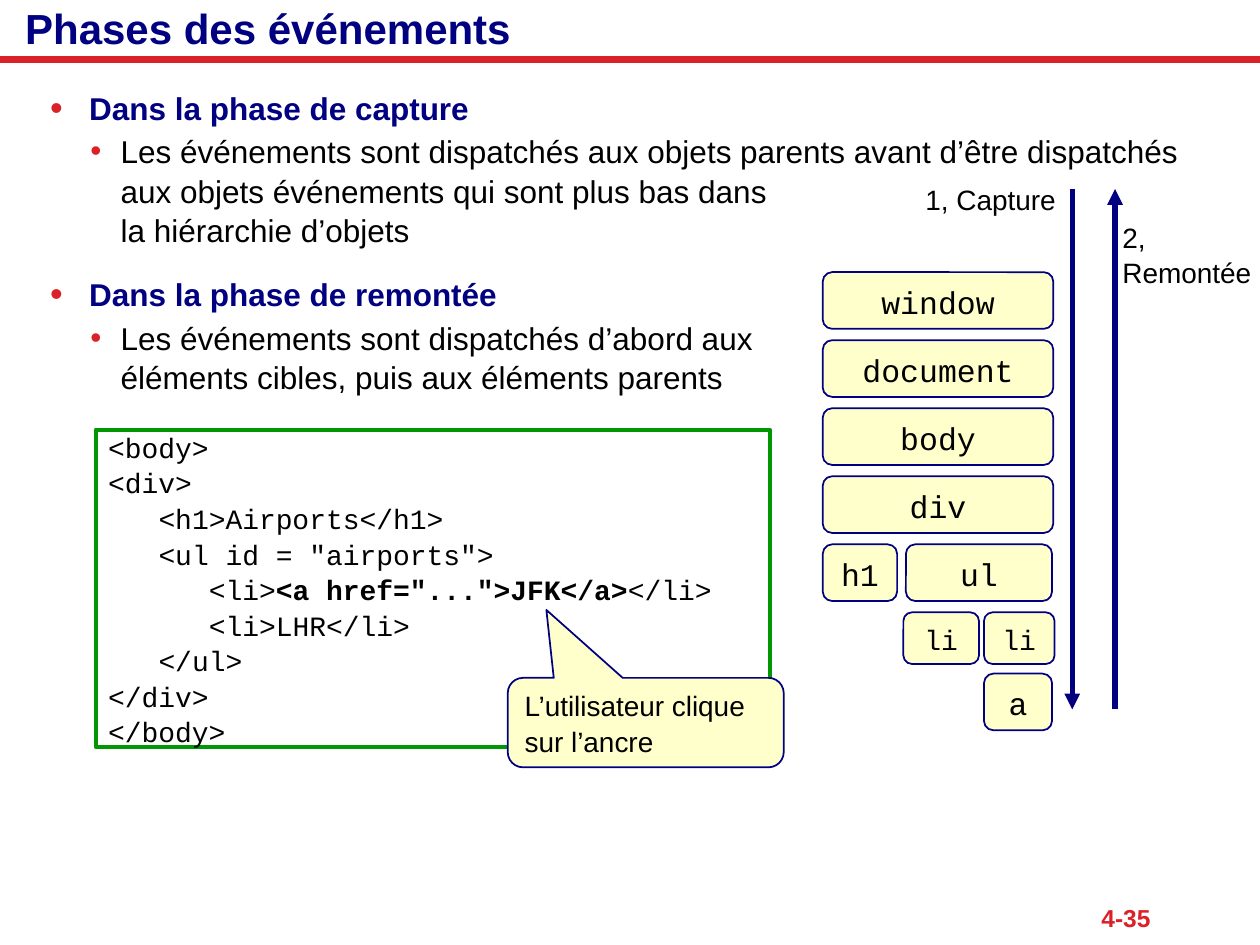
from lxml.etree import SubElement
from pptx import Presentation
from pptx.dml.color import RGBColor
from pptx.enum.shapes import MSO_CONNECTOR, MSO_SHAPE
from pptx.enum.text import MSO_ANCHOR, PP_ALIGN
from pptx.oxml.ns import qn
from pptx.util import Inches, Pt

COLUMNS, ROWS = 100, 75
NAVY, RED, GREEN, CREAM, BLACK, WHITE = "000080", "DA2128", "009905", "FFFFCC", "000000", "FFFFFF"
SANS, MONO = "Arial", "Courier New"

presentation = Presentation()
presentation.slide_width, presentation.slide_height = Inches(10), Inches(7.5)
slide = presentation.slides.add_slide(presentation.slide_layouts[6])


def color(value):
    return RGBColor.from_string(value)


def across(columns):
    return round(presentation.slide_width * columns / COLUMNS)


def down(rows):
    return round(presentation.slide_height * rows / ROWS)


def place(box, left, top, width, height):
    return box[0] + left, box[1] + top, width, height


def on_slide(box):
    left, top, width, height = box
    return across(left), down(top), across(width), down(height)


def write(paragraph, text, size=16, font=SANS, fill=BLACK, bold=False,
          align=PP_ALIGN.LEFT, spacing=1.05, before=0):
    paragraph.alignment = align
    paragraph.line_spacing = spacing
    paragraph.space_before = Pt(before)
    for index, part in enumerate(text.split("\n")):
        if index:
            paragraph.add_line_break()
        run = paragraph.add_run()
        run.text = part
        run.font.size = Pt(size)
        run.font.name = font
        run.font.bold = bold
        run.font.color.rgb = color(fill)


def next_paragraph(frame):
    first = frame.paragraphs[0]
    return frame.add_paragraph() if first.runs else first


def indent(paragraph, margin, hanging=0):
    properties = paragraph._p.get_or_add_pPr()
    properties.set("marL", str(across(margin)))
    properties.set("indent", str(-across(hanging)))
    return properties


def add_bullet(paragraph, percent):
    properties = paragraph._p.get_or_add_pPr()
    SubElement(SubElement(properties, qn("a:buClr")), qn("a:srgbClr"), val=RED)
    SubElement(properties, qn("a:buSzPct"), val=str(percent * 1000))
    SubElement(properties, qn("a:buFont"), typeface=SANS)
    SubElement(properties, qn("a:buChar"), char="•")


def add_text_box(box, anchor=MSO_ANCHOR.TOP, wrap=True):
    frame = slide.shapes.add_textbox(*on_slide(box)).text_frame
    frame.word_wrap = wrap
    frame.vertical_anchor = anchor
    return frame


def add_box(kind, box, fill=None, line=None, weight=1, wrap=True):
    shape = slide.shapes.add_shape(kind, *on_slide(box))
    shape.shadow.inherit = False
    if fill:
        shape.fill.solid()
        shape.fill.fore_color.rgb = color(fill)
    else:
        shape.fill.background()
    if line:
        shape.line.color.rgb = color(line)
        shape.line.width = Pt(weight)
    else:
        shape.line.fill.background()
    shape.text_frame.word_wrap = wrap
    shape.text_frame.vertical_anchor = MSO_ANCHOR.MIDDLE
    return shape


def add_line(start, end, stroke, weight, arrow=False):
    line = slide.shapes.add_connector(MSO_CONNECTOR.STRAIGHT, across(start[0]), down(start[1]),
                                      across(end[0]), down(end[1]))
    line.line.color.rgb = color(stroke)
    line.line.width = Pt(weight)
    if arrow:
        SubElement(line.line._get_or_add_ln(), qn("a:tailEnd"), type="triangle")
    SubElement(line._element.spPr, qn("a:effectLst"))


def draw_header(box, title):
    left, top, width, height = box
    add_line((left, top + height), (left + width, top + height), RED, 4)
    frame = add_text_box(place(box, 0, 0, width, 4.4), MSO_ANCHOR.MIDDLE)
    frame.margin_left = across(2)
    frame.margin_top = frame.margin_bottom = 0
    write(frame.paragraphs[0], title, size=24, fill=NAVY, bold=True, spacing=1)


def draw_page_number(box, number):
    frame = add_text_box(box, MSO_ANCHOR.MIDDLE)
    write(frame.paragraphs[0], number, size=14, fill=RED, bold=True, align=PP_ALIGN.RIGHT)


def draw_phases(box, phases):
    frame = add_text_box(box)
    for index, (heading, detail) in enumerate(phases):
        paragraph = next_paragraph(frame)
        write(paragraph, heading, size=18, fill=NAVY, bold=True, before=14 if index else 0)
        indent(paragraph, 3.1, 3.1)
        add_bullet(paragraph, 115)
        paragraph = next_paragraph(frame)
        write(paragraph, detail, size=18, before=2)
        indent(paragraph, 5.6, 2.4)
        add_bullet(paragraph, 100)


def draw_code(box, lines, note):
    frame = add_box(MSO_SHAPE.RECTANGLE, box, line=GREEN, weight=2.25).text_frame
    for level, *parts in lines:
        paragraph = next_paragraph(frame)
        for index, part in enumerate(parts):
            write(paragraph, part, font=MONO, bold=index == 1, spacing=1.06)
        indent(paragraph, 4 * level)
    callout = add_box(MSO_SHAPE.ROUNDED_RECTANGULAR_CALLOUT, place(box, 32.7, 19.7, 21.9, 7.1),
                      CREAM, NAVY)
    for index, value in enumerate((-0.36, -1.26, 0.17)):
        callout.adjustments[index] = value
    write(callout.text_frame.paragraphs[0], note)


def draw_hierarchy(box, nodes):
    step = 5.4
    for label, left, row, width, height, size in nodes:
        shape = add_box(MSO_SHAPE.ROUNDED_RECTANGLE, place(box, left, row * step, width, height),
                        CREAM, NAVY, wrap=False)
        write(shape.text_frame.paragraphs[0], label, size=size, font=MONO, align=PP_ALIGN.CENTER)


def draw_directions(box, capture, bubbling):
    left, top, width, height = box
    label = add_box(MSO_SHAPE.RECTANGLE, place(box, 0, -1.1, 13.1, 3.7), WHITE, wrap=False)
    write(label.text_frame.paragraphs[0], capture, align=PP_ALIGN.RIGHT)
    down_column, up_column = left + 12.8, left + 16.2
    add_line((down_column, top), (down_column, top + height), NAVY, 3, arrow=True)
    add_line((up_column, top + height), (up_column, top), NAVY, 3, arrow=True)
    frame = add_text_box(place(box, 15.8, 1.9, 12.4, 6.4), wrap=False)
    for text in bubbling:
        write(next_paragraph(frame), text)


draw_page_number((78.5, 71.1, 13.8, 3.4), "4-35")
draw_header((0, 0, COLUMNS, 4.7), "Phases des événements")
draw_phases((3, 6.4, 94, 24.7), [
    ("Dans la phase de capture",
     "Les événements sont dispatchés aux objets parents avant d’être dispatchés "
     "aux objets événements qui sont plus bas dans \nla hiérarchie d’objets"),
    ("Dans la phase de remontée",
     "Les événements sont dispatchés d’abord aux\néléments cibles, puis aux éléments parents"),
])
draw_code((7.6, 34.1, 53.5, 25.2), [
    (0, "<body>"),
    (0, "<div>"),
    (1, "<h1>Airports</h1>"),
    (1, '<ul id = "airports">'),
    (2, "<li>", '<a href="...">JFK</a>', "</li>"),
    (2, "<li>LHR</li>"),
    (1, "</ul>"),
    (0, "</div>"),
    (0, "</body>"),
], "L’utilisateur clique sur l’ancre")
draw_hierarchy((65.3, 21.6, 18.3, 36.3), [
    *((label, 0, row, 18.3, 4.5, 18)
      for row, label in enumerate(("window", "document", "body", "div"))),
    ("h1", 0, 4, 5.9, 4.5, 18),
    ("ul", 6.6, 4, 11.6, 4.5, 18),
    ("li", 6.4, 5, 6, 4.1, 16),
    ("li", 12.8, 5, 5.6, 4.1, 16),
    ("a", 12.8, 5.9, 5.4, 4.5, 18),
])
draw_directions((72.3, 15, 27.7, 41.3), "1, Capture ", ("2, ", "Remontée"))

presentation.save("out.pptx")
